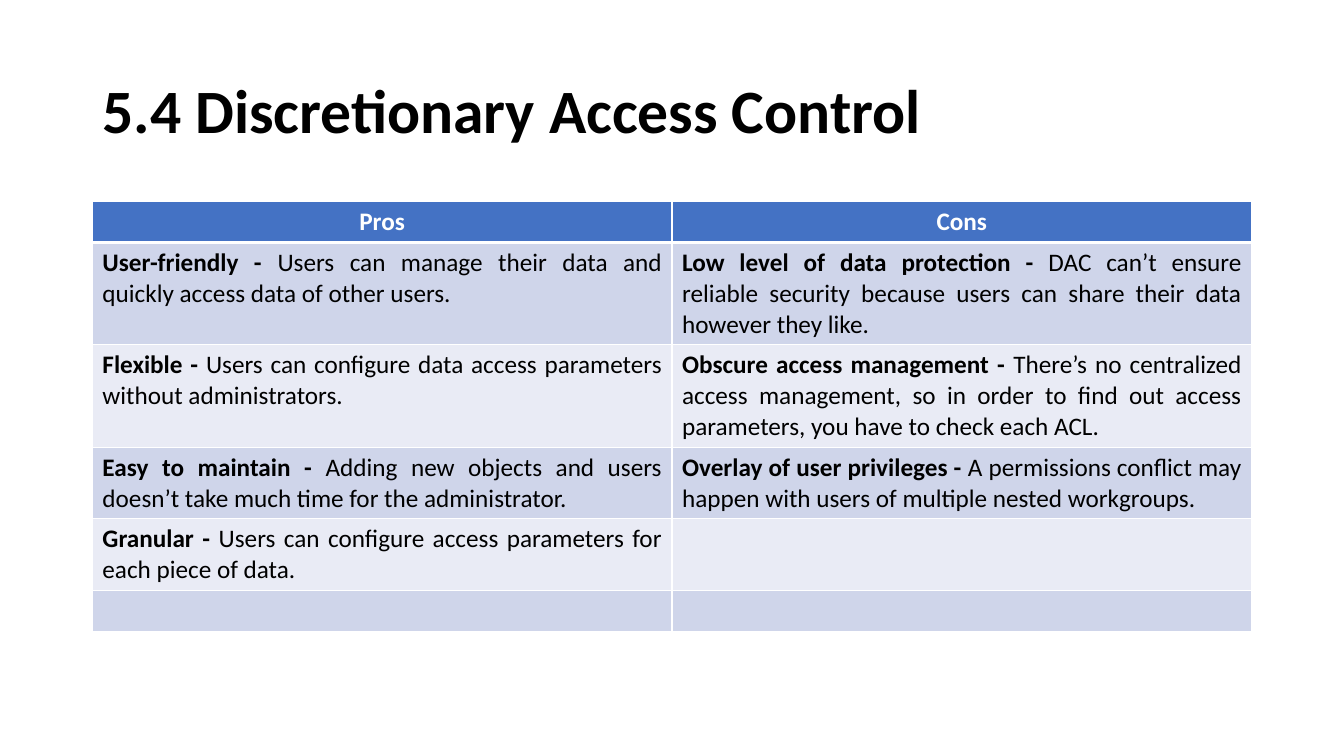
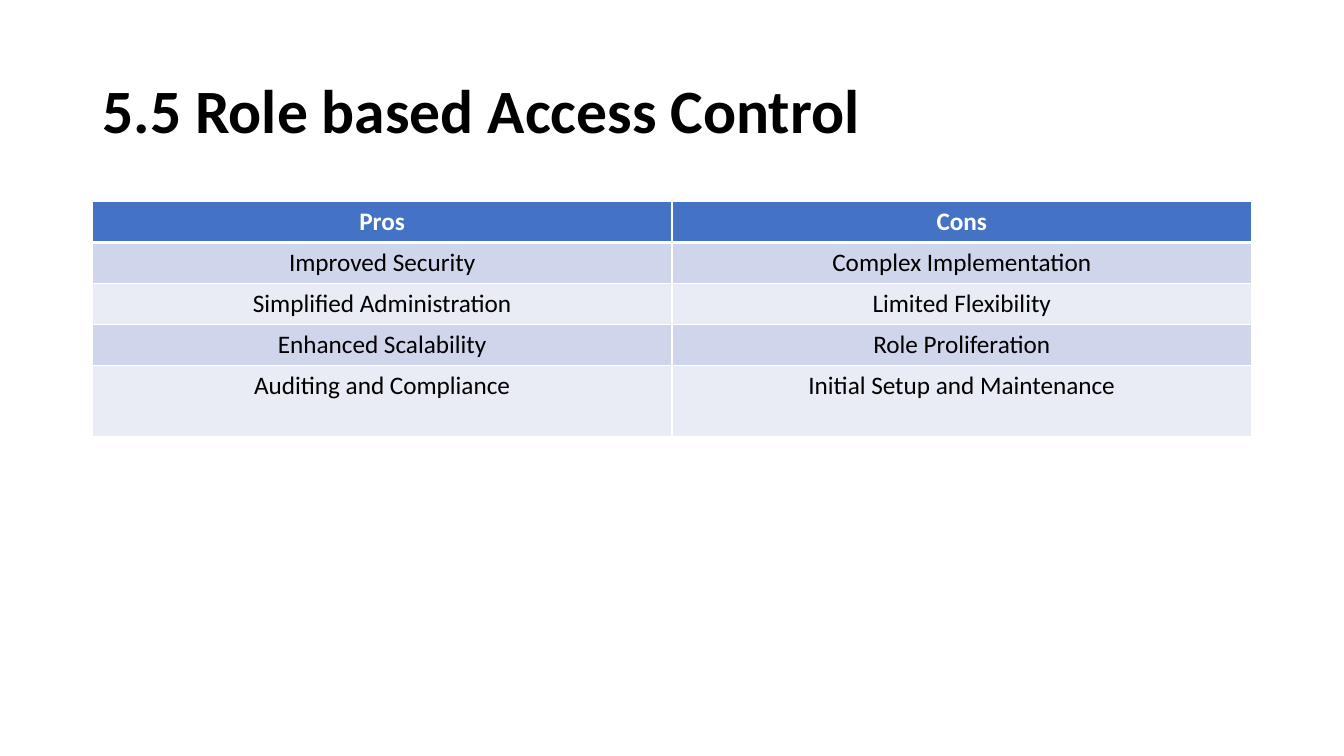
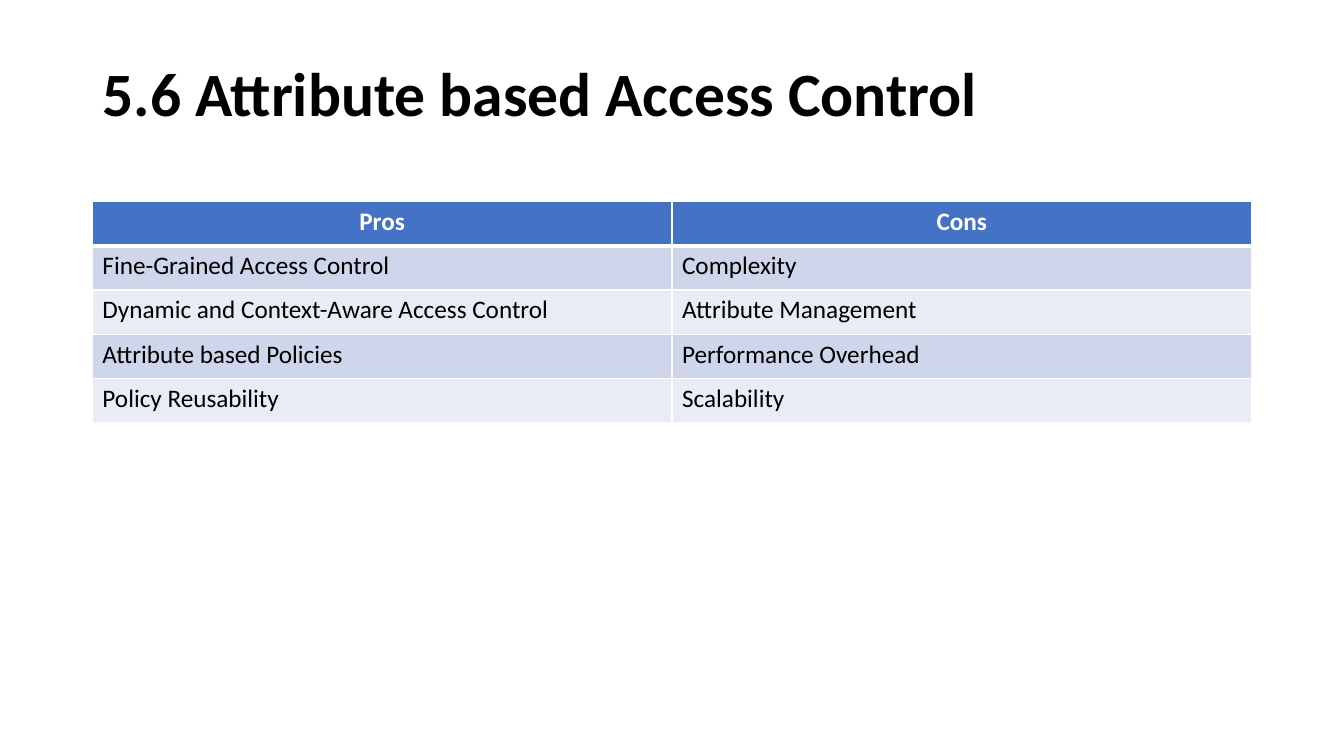
from dataclasses import dataclass

from lxml import etree
from pptx import Presentation
from pptx.dml.color import RGBColor
from pptx.enum.text import MSO_ANCHOR, MSO_AUTO_SIZE, PP_ALIGN
from pptx.oxml.ns import qn
from pptx.util import Inches, Pt

LEFT, CENTER, JUSTIFY = PP_ALIGN.LEFT, PP_ALIGN.CENTER, PP_ALIGN.JUSTIFY
MIDDLE, NO_AUTOFIT = MSO_ANCHOR.MIDDLE, MSO_AUTO_SIZE.NONE
TITLE_ONLY = 5

# Grid of 160 columns by 90 rows; each cell is a square.
GRID_COLUMNS, GRID_ROWS = 160, 90
MARGIN_COLUMNS = 11
CONTENT_COLUMNS = GRID_COLUMNS - 2 * MARGIN_COLUMNS
TITLE_TOP, TABLE_TOP = 4.8, 24


@dataclass(frozen=True)
class Theme:
    font: str = "Calibri"
    title_size: int = 44
    table_size: int = 18
    line_spacing: float = 1.22
    cell_padding: float = 0.1
    ink: str = "000000"
    paper: str = "FFFFFF"
    header: str = "4472C4"
    bands: tuple = ("CFD5EA", "E9EBF5")
    border: float = 1
    header_border: float = 3


def write(paragraph, text, *, font, size, color, bold=False, align=LEFT):
    paragraph.alignment = align
    run = paragraph.add_run()
    run.text = text
    run.font.name = font
    run.font.size = Pt(size)
    run.font.bold = bold
    run.font.color.rgb = RGBColor.from_string(color)


def set_borders(cell, color, **widths):
    """Draw cell edges; must run before the cell is filled, as XML order counts."""
    properties = cell._tc.get_or_add_tcPr()
    for edge in ("L", "R", "T", "B"):
        line = etree.SubElement(properties, qn(f"a:ln{edge}"), w=str(Pt(widths[edge])))
        fill = etree.SubElement(line, qn("a:solidFill"))
        etree.SubElement(fill, qn("a:srgbClr"), val=color)


class Deck:
    def __init__(self, theme):
        self.theme = theme
        self.presentation = Presentation()
        self.presentation.slide_width = Inches(13.33)
        self.presentation.slide_height = Inches(7.5)
        self.slide = None

    def columns(self, count):
        return round(self.presentation.slide_width * count / GRID_COLUMNS)

    def rows(self, count):
        return round(self.presentation.slide_height * count / GRID_ROWS)

    def lines(self, count):
        """Height of a table row that holds this many lines of text."""
        theme = self.theme
        text_height = Pt(theme.table_size * theme.line_spacing) * count
        return round(text_height + Inches(theme.cell_padding))

    def new_slide(self):
        layout = self.presentation.slide_layouts[TITLE_ONLY]
        self.slide = self.presentation.slides.add_slide(layout)

    def title(self, text, height):
        theme, shape = self.theme, self.slide.shapes.title
        shape.left, shape.top = self.columns(MARGIN_COLUMNS), self.rows(TITLE_TOP)
        shape.width, shape.height = self.columns(CONTENT_COLUMNS), self.rows(height)
        frame = shape.text_frame
        frame.word_wrap = True
        frame.auto_size = NO_AUTOFIT
        frame.vertical_anchor = MIDDLE
        paragraph = frame.paragraphs[0]
        paragraph.line_spacing = 0.9
        write(paragraph, text, font=theme.font, size=theme.title_size,
              color=theme.ink, bold=True)

    def table(self, records, line_counts, align):
        """Pros and cons under a header; a (lead, rest) pair has a bold lead."""
        records = [("Pros", "Cons"), *records]
        heights = [self.lines(count) for count in line_counts]
        table = self.slide.shapes.add_table(
            len(records), len(records[0]), self.columns(MARGIN_COLUMNS),
            self.rows(TABLE_TOP), self.columns(CONTENT_COLUMNS), sum(heights)).table
        for row_index, (record, height) in enumerate(zip(records, heights)):
            table.rows[row_index].height = height
            for column_index, content in enumerate(record):
                self.cell(table.cell(row_index, column_index), content, row_index, align)

    def cell(self, cell, content, row_index, align):
        theme = self.theme
        is_header = row_index == 0
        set_borders(cell, theme.paper, L=theme.border, R=theme.border,
                    T=theme.header_border if row_index == 1 else theme.border,
                    B=theme.header_border if is_header else theme.border)
        fill = theme.header if is_header else theme.bands[(row_index - 1) % 2]
        cell.fill.solid()
        cell.fill.fore_color.rgb = RGBColor.from_string(fill)
        lead, rest = content if isinstance(content, tuple) else ("", content)
        for text, bold in ((lead, True), (rest, is_header)):
            if text:
                write(cell.text_frame.paragraphs[0], text, font=theme.font,
                      size=theme.table_size, bold=bold,
                      color=theme.paper if is_header else theme.ink,
                      align=CENTER if is_header else align)


DISCRETIONARY = [
    (("User-friendly - ",
      "Users can manage their data and quickly access data of other users."),
     ("Low level of data protection - ",
      "DAC can’t ensure reliable security because users can share their data "
      "however they like.")),
    (("Flexible - ",
      "Users can configure data access parameters without administrators."),
     ("Obscure access management - ",
      "There’s no centralized access management, so in order to find out access "
      "parameters, you have to check each ACL.")),
    (("Easy to maintain - ",
      "Adding new objects and users doesn’t take much time for the administrator."),
     ("Overlay of user privileges - ",
      "A permissions conflict may happen with users of multiple nested workgroups.")),
    (("Granular - ",
      "Users can configure access parameters for each piece of data."), ""),
    ("", ""),
]
ROLE_BASED = [
    ("Improved Security", "Complex Implementation"),
    ("Simplified Administration", "Limited Flexibility"),
    ("Enhanced Scalability", "Role Proliferation"),
    ("Auditing and Compliance", "Initial Setup and Maintenance"),
]
ATTRIBUTE_BASED = [
    ("Fine-Grained Access Control", "Complexity"),
    ("Dynamic and Context-Aware Access Control", "Attribute Management"),
    ("Attribute based Policies", "Performance Overhead"),
    ("Policy Reusability", "Scalability"),
]

# Title, title height in grid rows, records, text lines per table row, alignment
SLIDES = [
    ("5.4 Discretionary Access Control", 17.4, DISCRETIONARY, (1, 3, 3, 2, 2, 1), JUSTIFY),
    ("5.5 Role based Access Control", 17.4, ROLE_BASED, (1, 1, 1, 1, 2), CENTER),
    ("5.6 Attribute based Access Control", 13.3, ATTRIBUTE_BASED, (1.11,) * 5, LEFT),
]


def main():
    deck = Deck(Theme())
    for title, title_height, records, line_counts, align in SLIDES:
        deck.new_slide()
        deck.title(title, title_height)
        deck.table(records, line_counts, align)
    deck.presentation.save("out.pptx")


if __name__ == "__main__":
    main()
